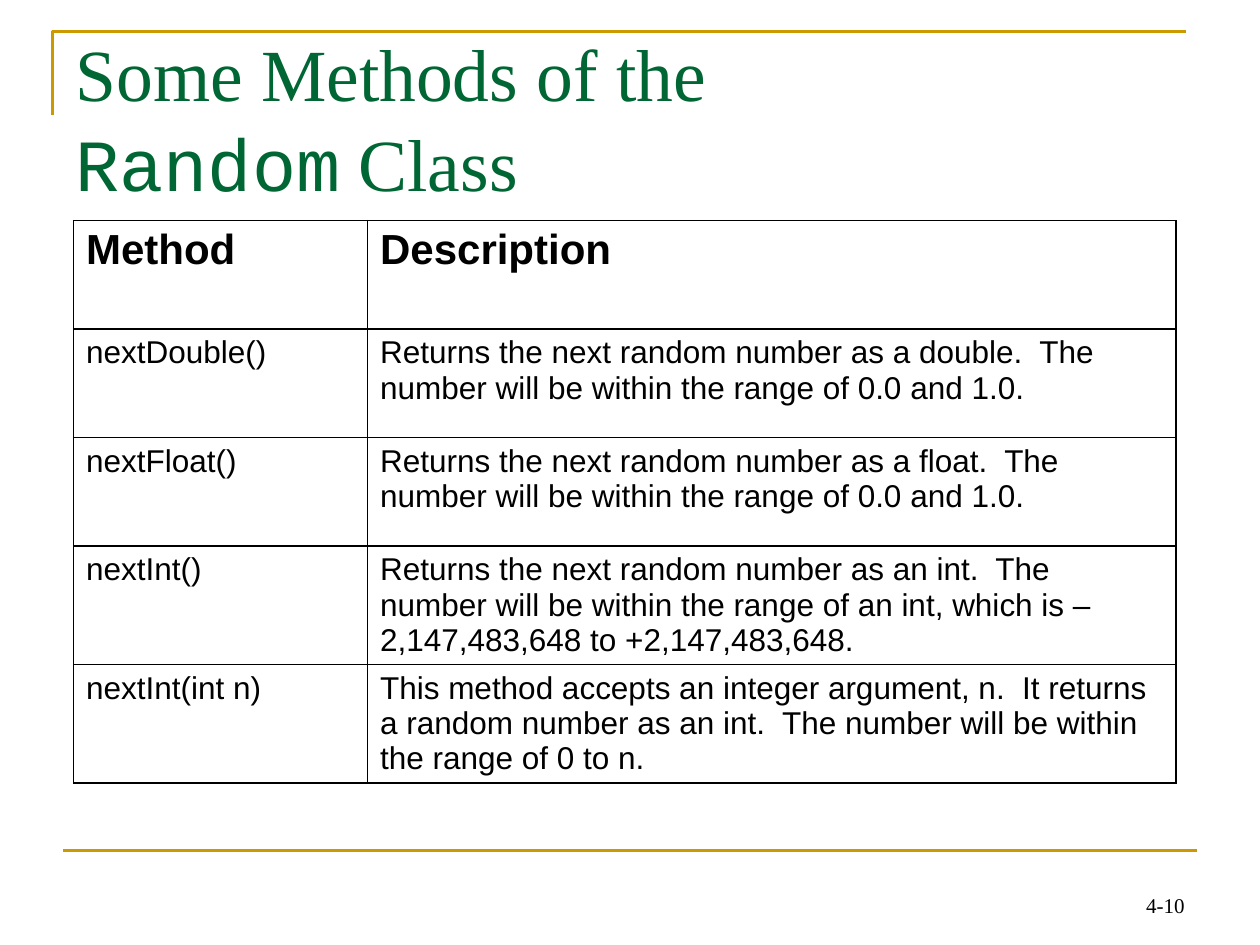
from lxml.etree import SubElement
from pptx import Presentation
from pptx.dml.color import RGBColor
from pptx.enum.shapes import MSO_CONNECTOR
from pptx.enum.text import MSO_ANCHOR, PP_ALIGN
from pptx.oxml.ns import qn
from pptx.util import Pt

COLORS = {"gold": "CC9900", "green": "006633", "black": "000000"}
SERIF, SANS, MONO = "Times New Roman", "Arial", "Courier New"


def add_text(p, text, font=SANS, size=18, color="black", bold=False):
    r = p.add_run()
    r.text = text
    r.font.name = font
    r.font.size = Pt(size)
    r.font.bold = bold
    r.font.color.rgb = RGBColor.from_string(COLORS[color])


def set_borders(cell):
    tc_pr = cell._tc.get_or_add_tcPr()
    for side in ("lnL", "lnR", "lnT", "lnB"):
        ln = SubElement(tc_pr, qn(f"a:{side}"), w=str(Pt(1)))
        fill = SubElement(ln, qn("a:solidFill"))
        SubElement(fill, qn("a:srgbClr"), val=COLORS["black"])
    SubElement(tc_pr, qn("a:noFill"))


prs = Presentation()
prs.slide_width, prs.slide_height = Pt(720), Pt(540)
s = prs.slides.add_slide(prs.slide_layouts[5])

# Corner rule and footer rule
fb = s.shapes.build_freeform(Pt(30), Pt(66), scale=1.0)
fb.add_line_segments([(Pt(30), Pt(18)), (Pt(678), Pt(18))], close=False)
corner = fb.convert_to_shape()
corner.shadow.inherit = False
corner.fill.background()
footer = s.shapes.add_connector(MSO_CONNECTOR.STRAIGHT, Pt(36), Pt(486), Pt(684), Pt(486))
SubElement(footer._element.spPr, qn("a:effectLst"))
for rule in (corner, footer):
    rule.line.width = Pt(1.5)
    rule.line.color.rgb = RGBColor.from_string(COLORS["gold"])

# Title
title = s.shapes.title
title.left, title.top, title.width, title.height = Pt(36), Pt(12), Pt(660), Pt(90)
tf = title.text_frame
tf.word_wrap = True
tf.vertical_anchor = MSO_ANCHOR.TOP
p = tf.paragraphs[0]
p.alignment = PP_ALIGN.LEFT
p.line_spacing = Pt(51)
add_text(p, "Some Methods of the ", font=SERIF, size=42, color="green")
p.add_line_break()
add_text(p, "Random", font=MONO, size=42, color="green")
add_text(p, " Class", font=SERIF, size=42, color="green")

# Method table
rows = [
    ("Method", "Description"),
    ("nextDouble()", "Returns the next random number as a double.  "
     "The number will be within the range of 0.0 and 1.0."),
    ("nextFloat()", "Returns the next random number as a float.  "
     "The number will be within the range of 0.0 and 1.0."),
    ("nextInt()", "Returns the next random number as an int.  The number will be "
     "within the range of an int, which is –2,147,483,648 to +2,147,483,648."),
    ("nextInt(int n)", "This method accepts an integer argument, n.  It returns a random "
     "number as an int.  The number will be within the range of 0 to n."),
]
table = s.shapes.add_table(len(rows), 2, Pt(42), Pt(126), Pt(630), Pt(62 * len(rows))).table
table.first_row = table.horz_banding = False
for column, width in zip(table.columns, (168, 462)):
    column.width = Pt(width)
for i, row in enumerate(rows):
    table.rows[i].height = Pt(62)
    for j, text in enumerate(row):
        cell = table.cell(i, j)
        set_borders(cell)
        add_text(cell.text_frame.paragraphs[0], text, size=18 if i else 24, bold=i == 0)

# Page number
tf = s.shapes.add_textbox(Pt(516), Pt(492), Pt(168), Pt(36)).text_frame
tf.word_wrap = True
tf.vertical_anchor = MSO_ANCHOR.BOTTOM
p = tf.paragraphs[0]
p.alignment = PP_ALIGN.RIGHT
add_text(p, "4-10", font=SERIF, size=12)

prs.save("out.pptx")
